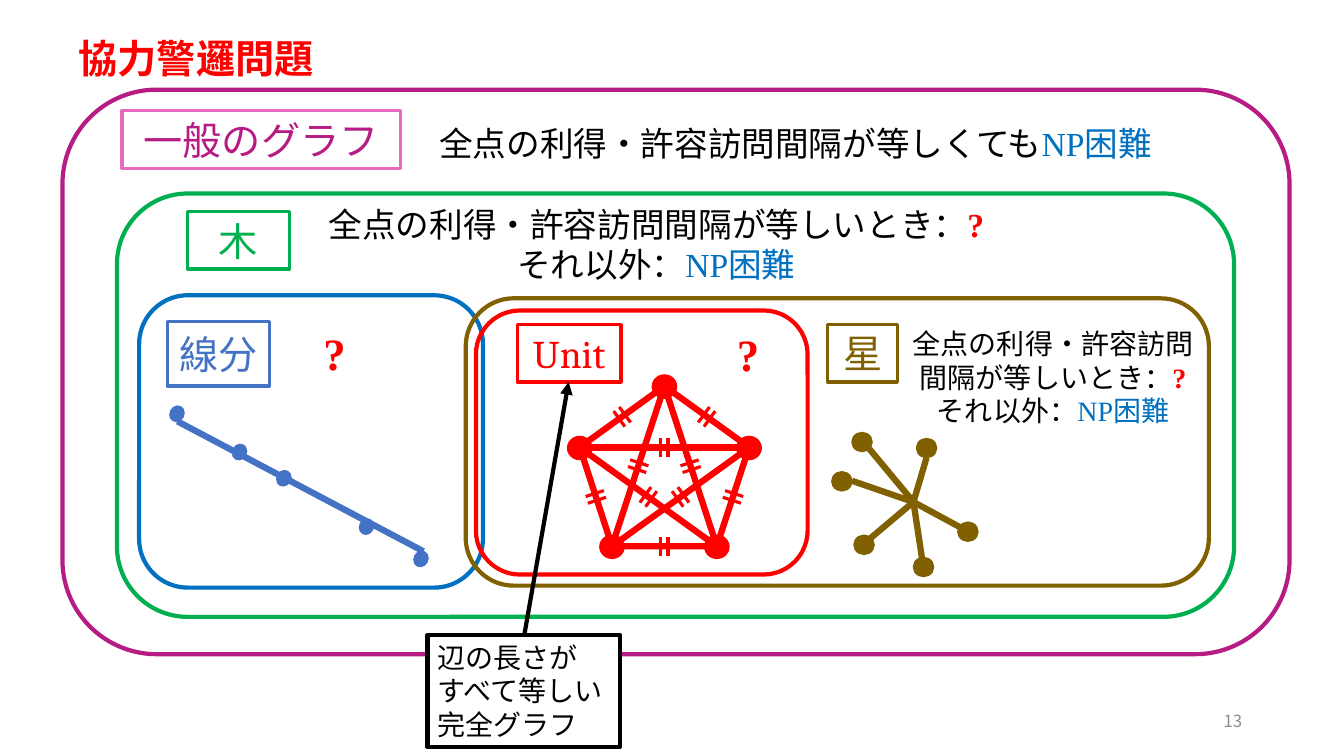
from itertools import combinations
from math import hypot

from lxml import etree
from pptx import Presentation
from pptx.dml.color import RGBColor
from pptx.enum.shapes import MSO_CONNECTOR, MSO_SHAPE
from pptx.enum.text import MSO_ANCHOR, MSO_AUTO_SIZE, PP_ALIGN
from pptx.oxml.ns import qn
from pptx.util import Inches, Pt

STRAIGHT = MSO_CONNECTOR.STRAIGHT
RECT, ROUND = MSO_SHAPE.RECTANGLE, MSO_SHAPE.ROUNDED_RECTANGLE
OVAL, PENTAGON = MSO_SHAPE.OVAL, MSO_SHAPE.REGULAR_PENTAGON
TOP, MIDDLE = MSO_ANCHOR.TOP, MSO_ANCHOR.MIDDLE
LEFT, CENTER, RIGHT = PP_ALIGN.LEFT, PP_ALIGN.CENTER, PP_ALIGN.RIGHT
NO_AUTOFIT = MSO_AUTO_SIZE.NONE
GOTHIC, TIMES, CAMBRIA = "Noto Sans CJK JP", "Times New Roman", "Cambria"
COLORS = {
    "general": "B61C83", "general_label": "E86ABE", "tree": "00B050",
    "segment": "4472C4", "blue": "0070C0", "red": "FF0000",
    "star": "806000", "black": "000000", "white": "FFFFFF", "gray": "8C8C8C",
}

deck = Presentation()
deck.slide_width, deck.slide_height = Inches(13.33), Inches(7.5)
slide = deck.slides.add_slide(deck.slide_layouts[5])


def add_figure(preset, at, line=None, weight=3, fill=None):
    figure = slide.shapes.add_shape(preset, *map(Inches, at))
    figure.shadow.inherit = False
    if fill:
        figure.fill.solid()
        figure.fill.fore_color.rgb = RGBColor.from_string(COLORS[fill])
    else:
        figure.fill.background()
    if line:
        figure.line.color.rgb = RGBColor.from_string(COLORS[line])
        figure.line.width = Pt(weight)
    else:
        figure.line.fill.background()
    return figure


def add_line(start, end, color, weight):
    line = slide.shapes.add_connector(STRAIGHT, *map(Inches, (*start, *end)))
    line.line.color.rgb = RGBColor.from_string(COLORS[color])
    line.line.width = Pt(weight)
    etree.SubElement(line.line._get_or_add_ln().getparent(), qn("a:effectLst"))
    return line


for at, color in [
    ((0.62, 0.89, 12.17, 5.6), "general"),
    ((1.16, 1.92, 11.08, 4.2), "tree"),
    ((1.38, 2.93, 3.41, 2.9), "blue"),
    ((4.72, 3.08, 3.29, 2.62), "red"),
    ((4.62, 2.96, 7.37, 2.85), "star"),
]:
    add_figure(ROUND, at, color)

add_line((1.76, 4.18), (4.2, 5.47), "segment", 4.5)
for left, top in [(1.68, 4.02), (2.3, 4.4), (2.74, 4.66), (3.56, 5.14), (4.1, 5.46)]:
    add_figure(OVAL, (left, top, 0.15, 0.17), fill="segment").rotation = 28

add_figure(PENTAGON, (5.75, 3.83, 1.68, 1.59), "red", 4.5)
corners = [(6.59, 3.83), (7.43, 4.44), (7.11, 5.42), (6.07, 5.42), (5.75, 4.44)]
for first, second in combinations(range(5), 2):
    (x1, y1), (x2, y2) = corners[first], corners[second]
    if second - first in (2, 3):
        add_line((x1, y1), (x2, y2), "red", 4.5)
    length = hypot(x2 - x1, y2 - y1)
    ux, uy = (x2 - x1) / length, (y2 - y1) / length
    for shift in (-0.035, 0.035):
        x, y = (x1 + x2) / 2 + shift * ux, (y1 + y2) / 2 + shift * uy
        dx, dy = -0.095 * uy, 0.095 * ux
        add_line((x - dx, y - dy), (x + dx, y + dy), "red", 2.25)
for x, y in corners:
    add_figure(OVAL, (x - 0.12, y - 0.11, 0.24, 0.23), "red", 1, "red")

hub = (9.06, 4.98)
for tip, (left, top) in [
    ((8.62, 4.45), (8.45, 4.29)), ((9.19, 4.54), (9.09, 4.35)),
    ((9.65, 5.3), (9.5, 5.18)), ((9.16, 5.64), (9.06, 5.53)),
    ((8.55, 5.41), (8.47, 5.31)), ((8.45, 4.77), (8.25, 4.68)),
]:
    add_line(hub, tip, "star", 4.5)
    add_figure(OVAL, (left, top, 0.2, 0.19), "star", 1, "star")

title = slide.shapes.title
title.left, title.top, title.width, title.height = map(Inches, (0.68, 0.29, 2.56, 0.57))
captions = [(title, TOP, LEFT, 28, False, [[("協力警邏問題", GOTHIC, "red", True)]])]

for at, border, text, font, color in [
    ((1.21, 1.1, 2.76, 0.57), "general_label", "一般のグラフ", GOTHIC, "general"),
    ((1.86, 2.1, 1.01, 0.57), "tree", "木", GOTHIC, "tree"),
    ((1.66, 3.19, 1.01, 0.64), "segment", "線分", GOTHIC, "segment"),
    ((5.13, 3.22, 1.03, 0.57), "red", "Unit", CAMBRIA, "red"),
    ((8.21, 3.22, 0.69, 0.57), "star", "星", GOTHIC, "star"),
]:
    label = add_figure(RECT, at, border, 2.25)
    captions.append((label, MIDDLE, CENTER, 28, True, [[(text, font, color, False)]]))

np_hard = [("NP", TIMES, "blue", False), ("困難", GOTHIC, "blue", False)]
unknown = ("?", TIMES, "red", True)
equal_or_not = [
    [("全点の利得・許容訪問間隔が等しいとき：", GOTHIC, "black", False), unknown],
    [("それ以外：", GOTHIC, "black", False), *np_hard],
]
equal_still_hard = [
    [("全点の利得・許容訪問間隔が等しくても", GOTHIC, "black", False), *np_hard],
]
page_number = [[("13", GOTHIC, "gray", False)]]
for at, anchor, align, size, wrap, paragraphs in [
    ((4.01, 1.17, 7.76, 0.5), TOP, CENTER, 24, True, equal_still_hard),
    ((2.87, 1.97, 7.28, 0.91), TOP, CENTER, 24, True, equal_or_not),
    ((3.11, 3.18, 0.39, 0.64), TOP, LEFT, 32, False, [[unknown]]),
    ((7.21, 3.19, 0.39, 0.64), TOP, LEFT, 32, False, [[unknown]]),
    ((8.9, 3.19, 3.09, 1.11), TOP, CENTER, 20, True, equal_or_not),
    ((9.42, 6.95, 3, 0.4), MIDDLE, RIGHT, 12, True, page_number),
]:
    result = slide.shapes.add_textbox(*map(Inches, at))
    captions.append((result, anchor, align, size, wrap, paragraphs))

unit_note = add_figure(RECT, (4.24, 6.3, 1.91, 1.11), "black", 3, "white")
note_lines = ["辺の長さが", "すべて等しい", "完全グラフ"]
note_text = [[(text, GOTHIC, "black", False)] for text in note_lines]
captions.append((unit_note, TOP, LEFT, 20, True, note_text))

note_arrow = add_line((5.2, 6.3), (5.64, 3.79), "black", 3)
etree.SubElement(note_arrow.line._get_or_add_ln(), qn("a:tailEnd"), type="triangle")

for holder, anchor, align, size, wrap, paragraphs in captions:
    frame = holder.text_frame
    frame.word_wrap = wrap
    frame.auto_size = NO_AUTOFIT
    frame.vertical_anchor = anchor
    for index, pieces in enumerate(paragraphs):
        paragraph = frame.add_paragraph() if index else frame.paragraphs[0]
        paragraph.alignment = align
        for text, font, color, bold in pieces:
            run = paragraph.add_run()
            run.text = text
            run.font.name = font
            run.font.size = Pt(size)
            run.font.bold = bold
            run.font.color.rgb = RGBColor.from_string(COLORS[color])
            etree.SubElement(run.font._element, qn("a:ea"), typeface=font)

deck.save("out.pptx")
